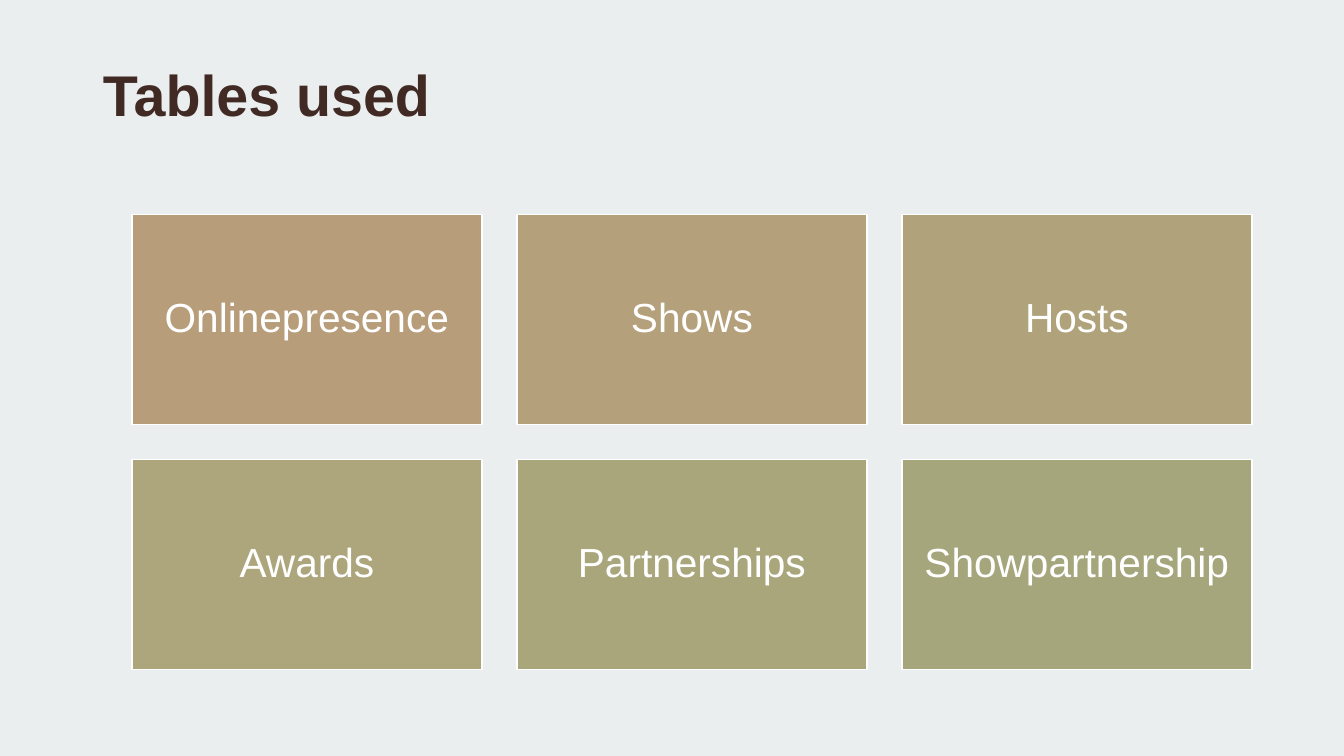
from dataclasses import dataclass

from pptx import Presentation
from pptx.dml.color import RGBColor
from pptx.enum.shapes import MSO_SHAPE
from pptx.enum.text import MSO_ANCHOR, PP_ALIGN
from pptx.util import Pt

RECTANGLE = MSO_SHAPE.RECTANGLE
TOP, MIDDLE = MSO_ANCHOR.TOP, MSO_ANCHOR.MIDDLE
LEFT, CENTER = PP_ALIGN.LEFT, PP_ALIGN.CENTER
TITLE_ONLY = 5


@dataclass(frozen=True)
class Theme:
    font: str = "Arial"
    background: str = "EBEEEF"
    title_color: str = "412924"
    card_text: str = "FFFFFF"
    card_line: str = "FFFFFF"
    title_size: int = 41
    card_size: int = 29
    line_spacing: float = 0.9


@dataclass(frozen=True)
class Box:
    left: float
    top: float
    width: float
    height: float

    def lengths(self):
        return Pt(self.left), Pt(self.top), Pt(self.width), Pt(self.height)


THEME = Theme()
TITLE_BOX = Box(66.25, 43.9, 815, 100.8)
GRID_BOX = Box(94.3, 153.3, 800, 325)
COLUMNS, ROWS, GAP = 3, 2, 25
TABLE_CARDS = [
    ("Onlinepresence", "B79D7A"),
    ("Shows", "B4A07A"),
    ("Hosts", "B0A37B"),
    ("Awards", "ADA57C"),
    ("Partnerships", "AAA67C"),
    ("Showpartnership", "A6A67D"),
]


def write_text(shape, text, size, color, bold, alignment, anchor):
    text_frame = shape.text_frame
    text_frame.text = text
    text_frame.word_wrap = True
    text_frame.vertical_anchor = anchor
    paragraph = text_frame.paragraphs[0]
    paragraph.alignment = alignment
    paragraph.line_spacing = THEME.line_spacing
    font = paragraph.runs[0].font
    font.name = THEME.font
    font.size = Pt(size)
    font.bold = bold
    font.color.rgb = RGBColor.from_string(color)


def add_title(slide, box, text):
    title = slide.shapes.title
    title.left, title.top, title.width, title.height = box.lengths()
    write_text(title, text, THEME.title_size, THEME.title_color, True, LEFT, TOP)


def add_card(slide, box, name, color):
    card = slide.shapes.add_shape(RECTANGLE, *box.lengths())
    card.shadow.inherit = False
    card.fill.solid()
    card.fill.fore_color.rgb = RGBColor.from_string(color)
    card.line.color.rgb = RGBColor.from_string(THEME.card_line)
    card.line.width = Pt(1)
    text_frame = card.text_frame
    text_frame.margin_left = text_frame.margin_right = Pt(8.7)
    text_frame.margin_top = text_frame.margin_bottom = Pt(8.7)
    write_text(card, name, THEME.card_size, THEME.card_text, False, CENTER, MIDDLE)


def add_card_grid(slide, box, cards):
    width = (box.width - GAP * (COLUMNS - 1)) / COLUMNS
    height = (box.height - GAP * (ROWS - 1)) / ROWS
    for index, (name, color) in enumerate(cards):
        row, column = divmod(index, COLUMNS)
        left = box.left + column * (width + GAP)
        top = box.top + row * (height + GAP)
        add_card(slide, Box(left, top, width, height), name, color)


def main():
    presentation = Presentation()
    presentation.slide_width, presentation.slide_height = Pt(960), Pt(540)
    slide = presentation.slides.add_slide(presentation.slide_layouts[TITLE_ONLY])

    # Background
    background = slide.background.fill
    background.solid()
    background.fore_color.rgb = RGBColor.from_string(THEME.background)

    # Title and grid of table names
    add_title(slide, TITLE_BOX, "Tables used")
    add_card_grid(slide, GRID_BOX, TABLE_CARDS)

    presentation.save("out.pptx")


if __name__ == "__main__":
    main()
